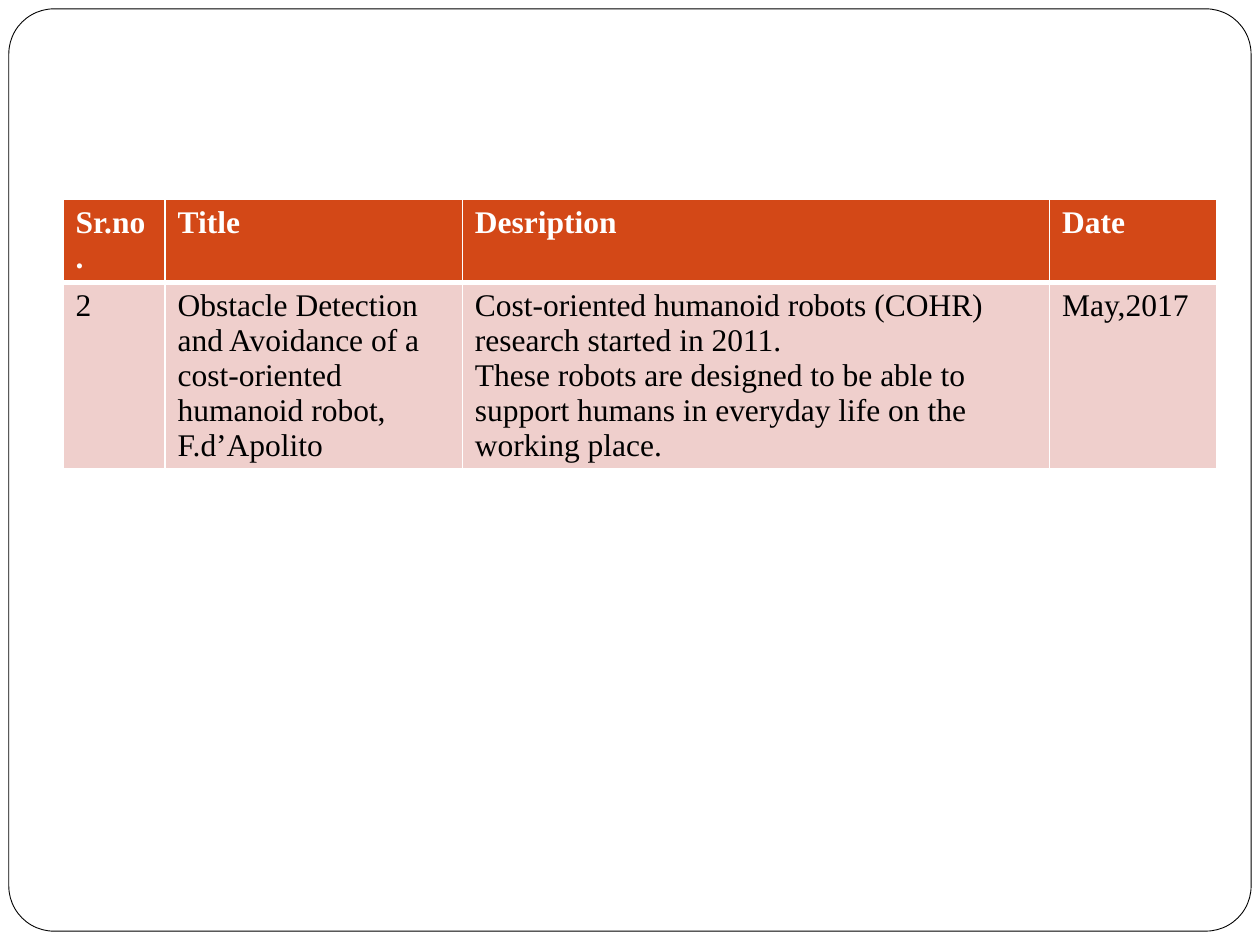
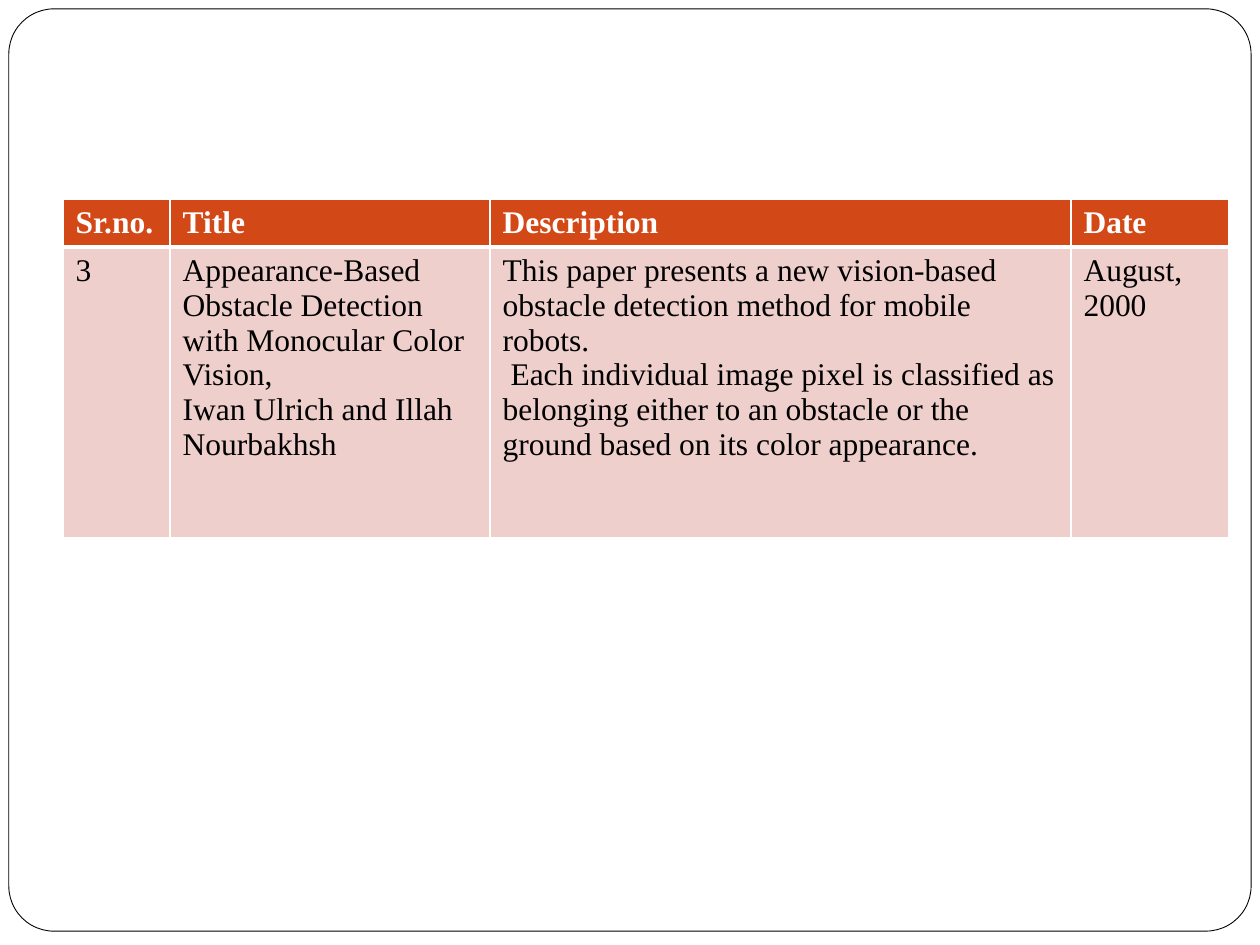
from lxml import etree
from pptx import Presentation
from pptx import util as u
from pptx.dml.color import RGBColor
from pptx.enum import shapes
from pptx.oxml import ns

FONT = "Times New Roman"
WHITE, BLACK = "FFFFFF", "000000"
HEADER_FILL, BODY_FILL = "D34817", "EFCFCC"
TABLE_LEFT, TABLE_TOP = 0.5, 1.58
THIN, THICK = 1, 3

PAPERS = [
    {
        "columns": [0.81, 2.36, 4.66, 1.33],
        "rows": [0.66, 1.47],
        "cells": [
            ["Sr.no.", "Title", "Desription", "Date"],
            [
                "2",
                "Obstacle Detection and Avoidance of a cost-oriented "
                "humanoid robot, F.d’Apolito",
                "Cost-oriented humanoid robots (COHR) research started in 2011.\n"
                "These robots are designed to be able to support humans in "
                "everyday life on the working place.",
                "May,2017",
            ],
        ],
    },
    {
        "columns": [0.85, 2.54, 4.61, 1.25],
        "rows": [0.38, 2.31],
        "cells": [
            ["Sr.no.", "Title", "Description", "Date"],
            [
                "3",
                "Appearance-Based Obstacle Detection with Monocular Color Vision,\n"
                "Iwan Ulrich and Illah Nourbakhsh",
                "This paper presents a new vision-based obstacle detection "
                "method for mobile robots.\n"
                " Each individual image pixel is classified as belonging either "
                "to an obstacle or the ground based on its color appearance.",
                "August, 2000",
            ],
        ],
    },
]


def paint(color_format, color):
    color_format.rgb = RGBColor.from_string(color)


def fill_with(fill, color):
    fill.solid()
    paint(fill.fore_color, color)


def write(text_frame, content, size=18, color=BLACK, bold=False):
    text_frame.word_wrap = True
    text_frame.text = content
    for paragraph in text_frame.paragraphs:
        for run in paragraph.runs:
            run.font.name = FONT
            run.font.size = u.Pt(size)
            run.font.bold = bold
            paint(run.font.color, color)


def set_borders(cell, color, **widths):
    properties = cell._tc.get_or_add_tcPr()
    for position, side in enumerate(("L", "R", "T", "B")):
        line = etree.Element(ns.qn(f"a:ln{side}"), w=str(u.Pt(widths.get(side, THIN))))
        solid = etree.SubElement(line, ns.qn("a:solidFill"))
        etree.SubElement(solid, ns.qn("a:srgbClr"), val=color)
        properties.insert(position, line)


def keep_only_layout(presentation, kept_layout):
    for layout in list(presentation.slide_layouts):
        if layout != kept_layout:
            presentation.slide_layouts.remove(layout)
    for holder in (presentation.slide_master, kept_layout):
        for placeholder in list(holder.placeholders):
            holder.shapes.element.remove(placeholder.element)


def add_frame(slide, master, left, top, width, height):
    frame = slide.shapes.add_shape(
        shapes.MSO_SHAPE.ROUNDED_RECTANGLE,
        *map(u.Inches, (left, top, width, height)),
    )
    frame.adjustments[0] = 0.049
    frame.shadow.inherit = False
    fill_with(frame.fill, WHITE)
    paint(frame.line.color, BLACK)
    frame.line.width = u.Pt(0.5)
    master.shapes.element.append(frame.element)


def add_paper_table(slide, left, top, columns, rows, cells):
    box = map(u.Inches, (left, top, sum(columns), sum(rows)))
    table = slide.shapes.add_table(len(rows), len(columns), *box).table
    for column, width in zip(table.columns, columns):
        column.width = u.Inches(width)
    for row_number, (row, height) in enumerate(zip(table.rows, rows)):
        row.height = u.Inches(height)
        is_header = row_number == 0
        for cell, content in zip(row.cells, cells[row_number]):
            write(cell.text_frame, content,
                  color=WHITE if is_header else BLACK, bold=is_header)
            fill_with(cell.fill, HEADER_FILL if is_header else BODY_FILL)
            set_borders(cell, WHITE, **{"B" if is_header else "T": THICK})


presentation = Presentation()
presentation.slide_width = u.Inches(10)
presentation.slide_height = u.Inches(7.5)
blank_layout = presentation.slide_layouts[6]
keep_only_layout(presentation, blank_layout)
for number, paper in enumerate(PAPERS):
    slide = presentation.slides.add_slide(blank_layout)
    if number == 0:
        add_frame(slide, presentation.slide_master, 0.07, 0.07, 9.86, 7.32)
    add_paper_table(slide, TABLE_LEFT, TABLE_TOP, **paper)
presentation.save("out.pptx")
